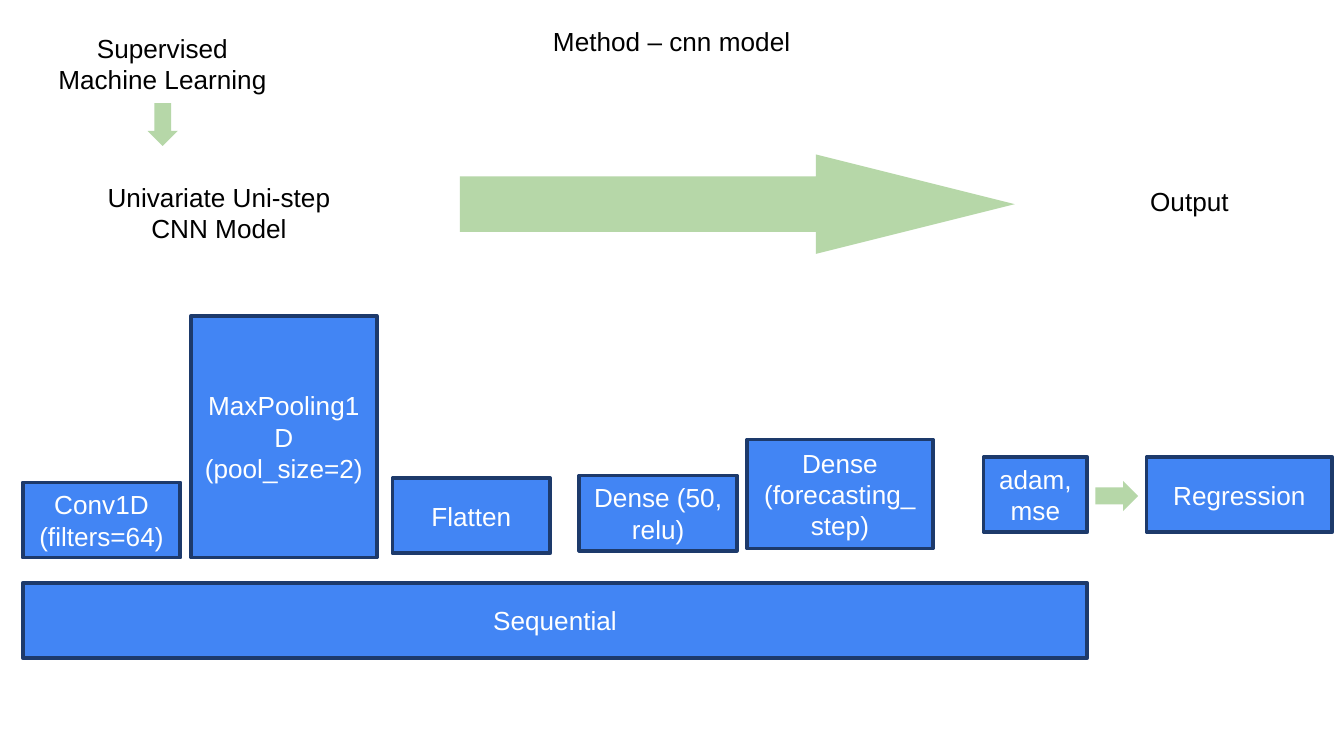
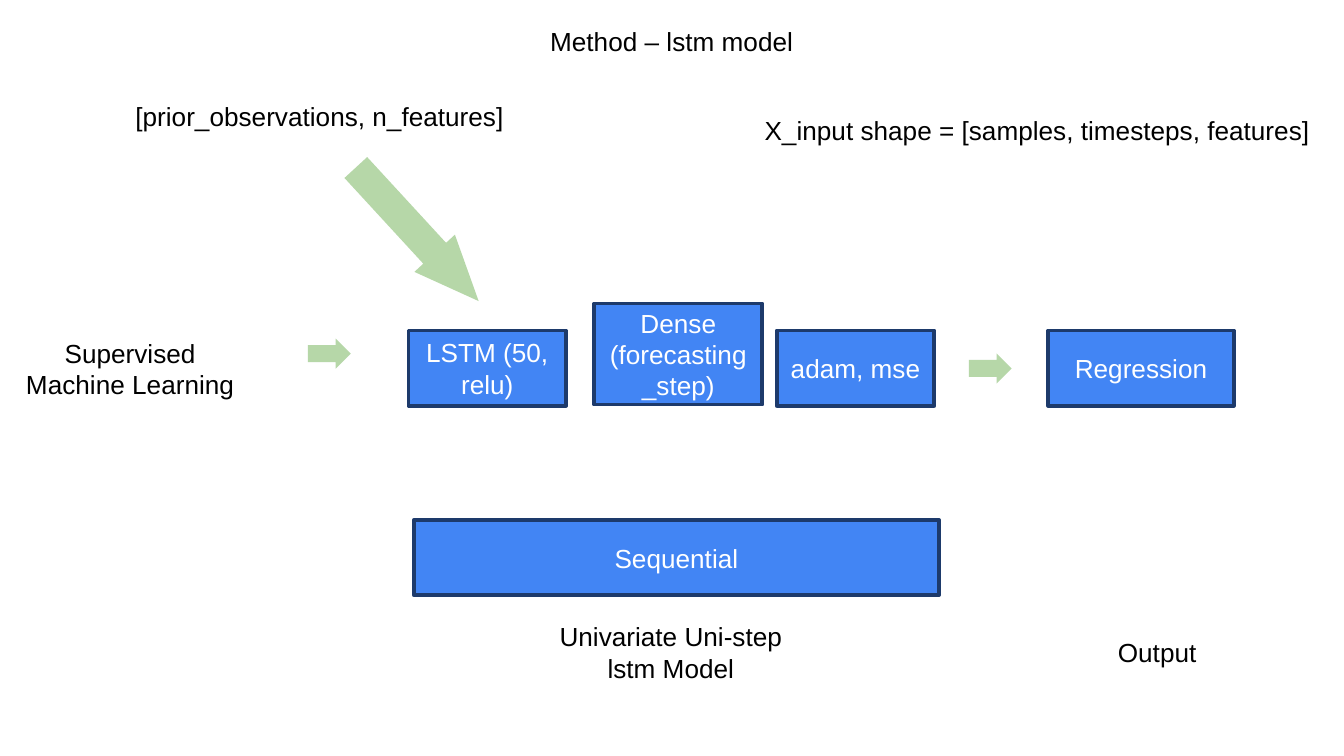
from pptx import Presentation
from pptx.dml.color import RGBColor
from pptx.enum.shapes import MSO_SHAPE
from pptx.enum.text import MSO_ANCHOR, MSO_AUTO_SIZE, PP_ALIGN
from pptx.util import Cm, Pt

BLACK = "000000"
WHITE = "FFFFFF"
LAYER_FILL = "4285F4"
LAYER_BORDER = "1D3A6B"
ARROW_FILL = "B6D7A8"
FONT_NAME = "Arial"
FONT_SIZE = 14
LINE_HEIGHT = 0.86
TWO_LINES = 1.45
LAYER_HEIGHT = 1.42
NARROW = 2.98
WIDE = 3.51
CAPTION_WIDTH = 5.44


def rgb(value):
    return RGBColor.from_string(value)


def write(frame, text, color, align=PP_ALIGN.CENTER, anchor=MSO_ANCHOR.TOP, wrap=True):
    frame.text = text
    frame.word_wrap = wrap
    frame.vertical_anchor = anchor
    paragraph = frame.paragraphs[0]
    paragraph.alignment = align
    for run in paragraph.runs:
        run.font.name = FONT_NAME
        run.font.size = Pt(FONT_SIZE)
        run.font.color.rgb = rgb(color)


def add_method_slide(deck, heading):
    slide = deck.slides.add_slide(deck.slide_layouts[5])
    title = slide.shapes.title
    title.left, title.top = Cm(9.8), Cm(0.36)
    title.width, title.height = Cm(5.79), Cm(LINE_HEIGHT)
    write(title.text_frame, heading, BLACK)
    title.text_frame.auto_size = MSO_AUTO_SIZE.SHAPE_TO_FIT_TEXT
    return slide


def add_caption(slide, text, left, top, width=CAPTION_WIDTH, height=LINE_HEIGHT):
    caption = slide.shapes.add_textbox(Cm(left), Cm(top), Cm(width), Cm(height))
    write(caption.text_frame, text, BLACK)
    caption.text_frame.auto_size = MSO_AUTO_SIZE.SHAPE_TO_FIT_TEXT


def add_shape_note(slide, text, left, top, width):
    note = slide.shapes.add_textbox(Cm(left), Cm(top), Cm(width), Cm(LINE_HEIGHT))
    write(note.text_frame, text, BLACK, align=PP_ALIGN.LEFT, wrap=False)
    note.text_frame.auto_size = MSO_AUTO_SIZE.SHAPE_TO_FIT_TEXT


def add_layer(slide, text, left, top, width=NARROW, height=LAYER_HEIGHT):
    layer = slide.shapes.add_shape(
        MSO_SHAPE.RECTANGLE, Cm(left), Cm(top), Cm(width), Cm(height))
    layer.shadow.inherit = False
    layer.fill.solid()
    layer.fill.fore_color.rgb = rgb(LAYER_FILL)
    layer.line.color.rgb = rgb(LAYER_BORDER)
    layer.line.width = Pt(2)
    write(layer.text_frame, text, WHITE, anchor=MSO_ANCHOR.MIDDLE)


def add_arrow(slide, left, top, width=0.81, height=0.57, head=0.5, rotation=0):
    arrow = slide.shapes.add_shape(
        MSO_SHAPE.RIGHT_ARROW, Cm(left), Cm(top), Cm(width), Cm(height))
    arrow.shadow.inherit = False
    arrow.adjustments[0] = 0.56
    arrow.adjustments[1] = head
    arrow.rotation = rotation
    arrow.fill.solid()
    arrow.fill.fore_color.rgb = rgb(ARROW_FILL)
    arrow.line.fill.background()


def build_cnn(deck):
    slide = add_method_slide(deck, "Method – cnn model")
    add_caption(slide, "Supervised Machine Learning", 0.81, 0.48, 4.52, TWO_LINES)
    add_arrow(slide, 2.67, 2.07, rotation=90)
    add_caption(slide, "Univariate Uni-step CNN Model", 1.42, 3.3, height=TWO_LINES)
    add_arrow(slide, 8.69, 2.92, 10.49, 1.88, head=2)
    add_caption(slide, "Output", 19.76, 3.38)

    add_layer(slide, "Conv1D (filters=64)", 0.43, 9.12)
    add_layer(slide, "MaxPooling1D (pool_size=2)", 3.61, 5.97, WIDE, 4.57)
    add_layer(slide, "Flatten", 7.42, 9.04)
    add_layer(slide, "Dense (50, relu)", 10.95, 8.99)
    add_layer(slide, "Dense (forecasting_step)", 14.12, 8.31, WIDE, 2.06)
    add_layer(slide, "adam, mse", 18.59, 8.64, 1.96)
    add_arrow(slide, 20.7, 9.09)
    add_layer(slide, "Regression", 21.67, 8.64, WIDE)
    add_layer(slide, "Sequential", 0.43, 11.02, 20.12)


def build_lstm(deck):
    slide = add_method_slide(deck, "Method – lstm model")
    add_shape_note(slide, "[prior_observations, n_features]", 2.31, 1.78, 7.49)
    add_shape_note(slide, "X_input shape = [samples, timesteps, features]", 14.2, 2.03, 10.87)
    add_arrow(slide, 6.17, 3.91, 3.43, 1.04, head=1.18, rotation=47.4)

    add_caption(slide, "Supervised Machine Learning", 0.2, 6.25, 4.52, TWO_LINES)
    add_arrow(slide, 5.82, 6.4)
    add_layer(slide, "LSTM (50, relu)", 7.72, 6.25)
    add_layer(slide, "Dense (forecasting_step)", 11.23, 5.74, 3.18, 1.91)
    add_layer(slide, "adam, mse", 14.68, 6.25)
    add_arrow(slide, 18.31, 6.68)
    add_layer(slide, "Regression", 19.81, 6.25, WIDE)

    add_layer(slide, "Sequential", 7.82, 9.83, 9.93)
    add_caption(slide, "Univariate Uni-step lstm Model", 9.96, 11.61, height=TWO_LINES)
    add_caption(slide, "Output", 19.15, 11.91)


def main():
    deck = Presentation()
    deck.slide_width, deck.slide_height = Cm(25.4), Cm(14.29)
    build_cnn(deck)
    build_lstm(deck)
    deck.save("out.pptx")


if __name__ == "__main__":
    main()
